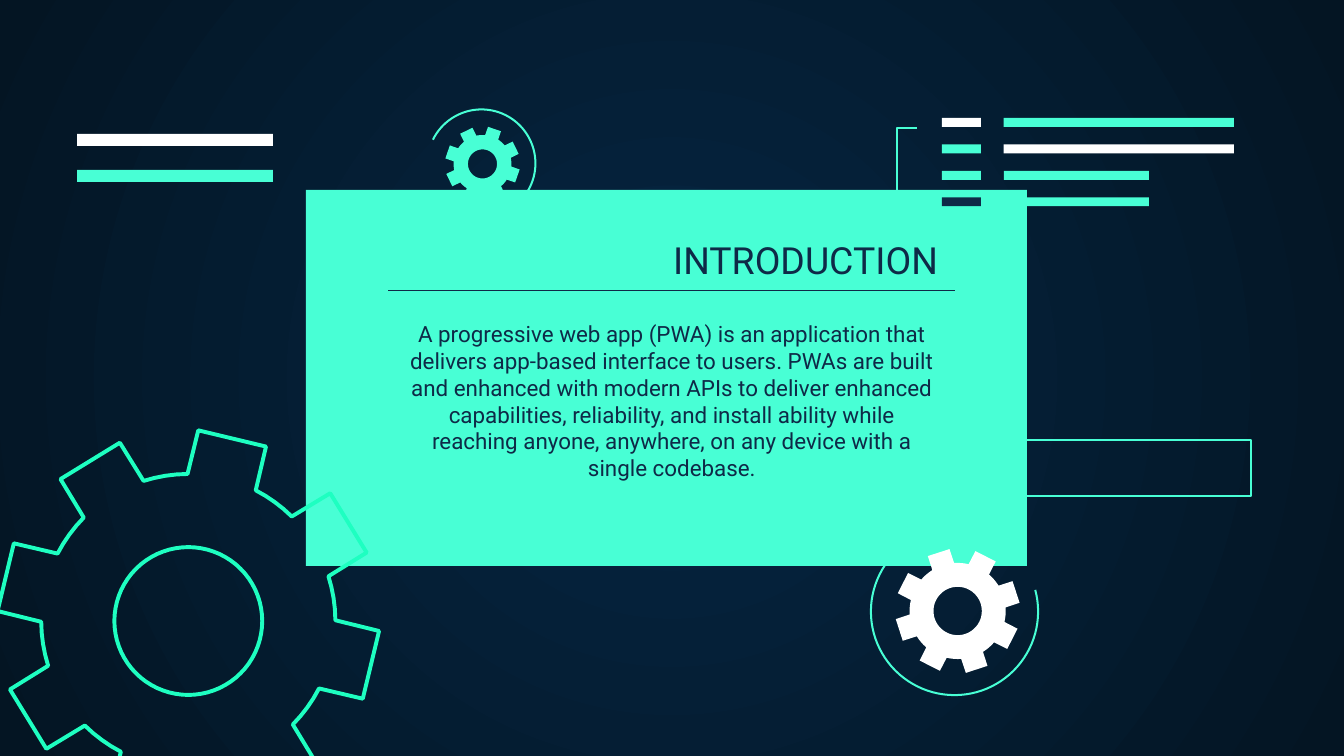
from dataclasses import dataclass
from math import cos, radians, sin

from lxml.etree import SubElement
from pptx import Presentation
from pptx.dml.color import RGBColor as RGB
from pptx.enum.shapes import MSO_CONNECTOR as Connector, MSO_SHAPE as Preset
from pptx.enum.text import MSO_ANCHOR as Anchor, MSO_AUTO_SIZE as AutoSize, PP_ALIGN as Align
from pptx.oxml.ns import qn
from pptx.util import Cm, Pt


@dataclass(frozen=True)
class Theme:
    mint: RGB = RGB.from_string("48FFD5")
    neon: RGB = RGB.from_string("1EFFC1")
    navy: RGB = RGB.from_string("0E2A47")
    white: RGB = RGB.from_string("FFFFFF")
    glow: RGB = RGB.from_string("052643")
    night: RGB = RGB.from_string("041523")
    font: str = "Roboto"
    heading: Pt = Pt(20)
    body: Pt = Pt(12)
    thin: Pt = Pt(0.75)
    outline: Pt = Pt(1.09)
    thick: Pt = Pt(2.1)


THEME = Theme()

DEFINITION = (
    "A progressive web app (PWA) is an application that delivers app-based "
    "interface to users. PWAs are built and enhanced with modern APIs to deliver "
    "enhanced capabilities, reliability, and install ability while reaching "
    "anyone, anywhere, on any device with a single codebase."
)


@dataclass(frozen=True)
class Box:
    left: float
    top: float
    width: float
    height: float

    def emu(self):
        return [Cm(n) for n in (self.left, self.top, self.width, self.height)]


def around(x, y, radius):
    return Box(x - radius, y - radius, 2 * radius, 2 * radius)


def apply(target, values):
    for name, value in values.items():
        setattr(target, name, value)


def paint(part, fill=None, stroke=None, weight=THEME.outline):
    part.shadow.inherit = False
    if fill is None:
        part.fill.background()
    else:
        part.fill.solid()
        part.fill.fore_color.rgb = fill
    if stroke is None:
        part.line.fill.background()
    else:
        part.line.color.rgb = stroke
        part.line.width = weight


def block(slide, box, **colours):
    paint(slide.shapes.add_shape(Preset.RECTANGLE, *box.emu()), **colours)


def backdrop(slide):
    fill = slide.background.fill
    fill.gradient()
    for stop, colour in zip(fill.gradient_stops, (THEME.glow, THEME.night)):
        stop.color.rgb = colour
    gradient = slide.element.find(".//" + qn("a:gradFill"))
    gradient.remove(gradient.find(qn("a:lin")))
    circle = SubElement(gradient, qn("a:path"), {"path": "circle"})
    SubElement(circle, qn("a:fillToRect"), dict.fromkeys("ltrb", "50000"))


def gear(slide, box, turn, **colours):
    tip = box.width / 2
    root, hole = 0.77 * tip, 0.387 * tip
    centre_x, centre_y = box.left + tip, box.top + tip

    def point(radius, angle):
        return (Cm(centre_x + radius * cos(radians(angle))),
                Cm(centre_y + radius * sin(radians(angle))))

    rim = []
    for tooth in range(8):
        middle = turn + 45 * tooth
        rim += [point(tip, middle - 10.5), point(tip, middle + 10.5)]
        rim += [point(root, middle + 13.8 + 4.35 * step) for step in range(5)]
    bore = [point(hole, -angle) for angle in range(0, 360, 5)]

    outline = slide.shapes.build_freeform(*rim[0], scale=1.0)
    outline.add_line_segments(rim[1:], close=True)
    outline.move_to(*bore[0])
    outline.add_line_segments(bore[1:], close=True)
    paint(outline.convert_to_shape(), **colours)


def ring(slide, box, start, end):
    arc = slide.shapes.add_shape(Preset.ARC, *box.emu())
    for index, angle in enumerate((start, end)):
        arc.adjustments[index] = angle * 0.6
    paint(arc, stroke=THEME.mint)


def code_lines(slide, box):
    pitch, thickness, gap, tag = 0.5, 0.17, 0.43, 0.74
    longest = box.width - tag - gap
    rows = [
        (THEME.white, THEME.mint, 1),
        (THEME.mint, THEME.white, 1),
        (THEME.mint, THEME.mint, 0.63),
        (THEME.navy, THEME.mint, 0.63),
    ]
    for row, (tag_colour, line_colour, share) in enumerate(rows):
        top = box.top + row * pitch
        block(slide, Box(box.left, top, tag, thickness), fill=tag_colour)
        block(slide, Box(box.left + tag + gap, top, share * longest, thickness),
              fill=line_colour)


def twin_bars(slide, box):
    thickness = 0.23
    for top, colour in ((box.top, THEME.white),
                        (box.top + box.height - thickness, THEME.mint)):
        block(slide, Box(box.left, top, box.width, thickness), fill=colour)


def bracket(slide, box):
    left, top, width, height = box.emu()
    corner = slide.shapes.build_freeform(left + width, top + height, scale=1.0)
    corner.add_line_segments(
        [(left, top + height), (left, top), (left + width, top)], close=False)
    paint(corner.convert_to_shape(), stroke=THEME.mint)


def write(frame, words, size, align, layout):
    apply(frame, {"word_wrap": True, "auto_size": AutoSize.NONE,
                  "vertical_anchor": Anchor.TOP, **layout})
    frame.text = words
    paragraph = frame.paragraphs[0]
    apply(paragraph, {"alignment": align, "line_spacing": 1.0})
    font = paragraph.runs[0].font
    apply(font, {"name": THEME.font, "size": size, "bold": False})
    font.color.rgb = THEME.navy


def introduction(slide, box):
    definition = slide.shapes.add_textbox(
        *Box(box.left + 1.56, box.top + 0.86, 10.72, 5.84).emu())
    write(definition.text_frame, DEFINITION, THEME.body, Align.CENTER,
          {"margin_top": Cm(1.6), "margin_left": Cm(0.36), "margin_right": Cm(0.36)})

    heading = slide.shapes.title
    apply(heading, dict(zip(
        ("left", "top", "width", "height"),
        Box(box.left + 1.87, box.top + 0.7, 10.16, 1.2).emu())))
    write(heading.text_frame, "INTRODUCTION", THEME.heading, Align.RIGHT,
          {"margin_top": Cm(0.19), "margin_right": Cm(0.08)})
    slide.shapes.element.append(heading.element)

    rule_y = Cm(box.top + 1.9)
    rule = slide.shapes.add_connector(
        Connector.STRAIGHT, Cm(box.left + 1.56), rule_y, Cm(box.left + 12.26), rule_y)
    rule.line.color.rgb = THEME.navy
    rule.line.width = THEME.thin
    SubElement(rule.element.spPr, qn("a:effectLst"))


def main():
    deck = Presentation()
    apply(deck, {"slide_width": Cm(25.4), "slide_height": Cm(14.29)})
    slide = deck.slides.add_slide(deck.slide_layouts[5])
    card = Box(5.78, 3.59, 13.63, 7.11)

    backdrop(slide)
    block(slide, card, fill=THEME.mint)
    ring(slide, around(9.1, 3.09, 1.02), 206, 95)
    ring(slide, around(18.04, 11.56, 1.58), 345, 234)
    gear(slide, around(3.56, 11.74, 3.61), 13.5, stroke=THEME.neon, weight=THEME.thick)
    gear(slide, around(18.1, 11.55, 1.18), 27, fill=THEME.white)
    gear(slide, around(9.12, 3.1, 0.71), 19, fill=THEME.mint)
    code_lines(slide, Box(17.8, 2.23, 5.52, 1.67))
    bracket(slide, Box(16.95, 2.42, 0.38, 1.53))
    twin_bars(slide, Box(1.46, 2.53, 3.7, 0.91))
    block(slide, Box(18.29, 8.32, 5.35, 1.06), stroke=THEME.mint)
    introduction(slide, card)
    deck.save("out.pptx")


if __name__ == "__main__":
    main()
